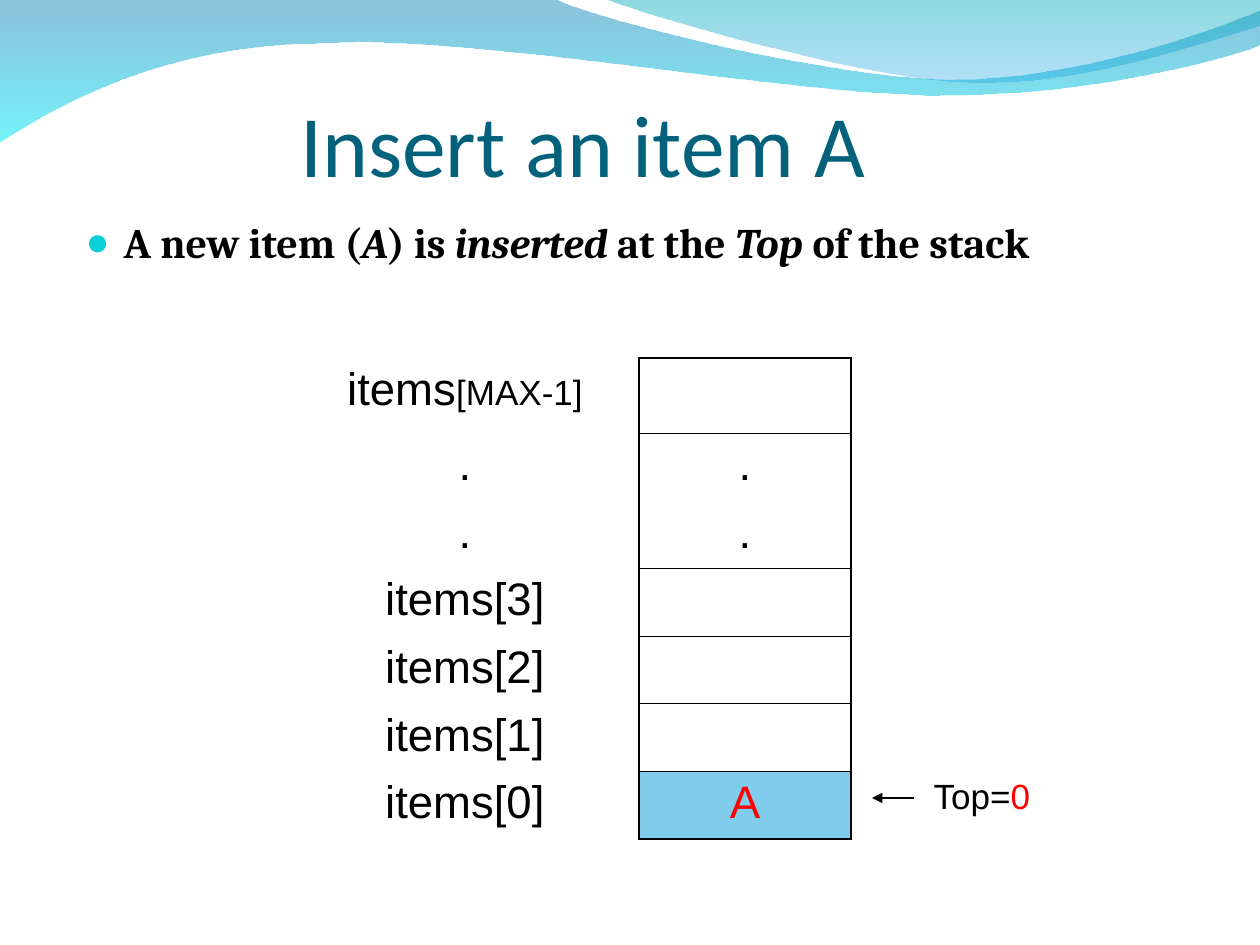
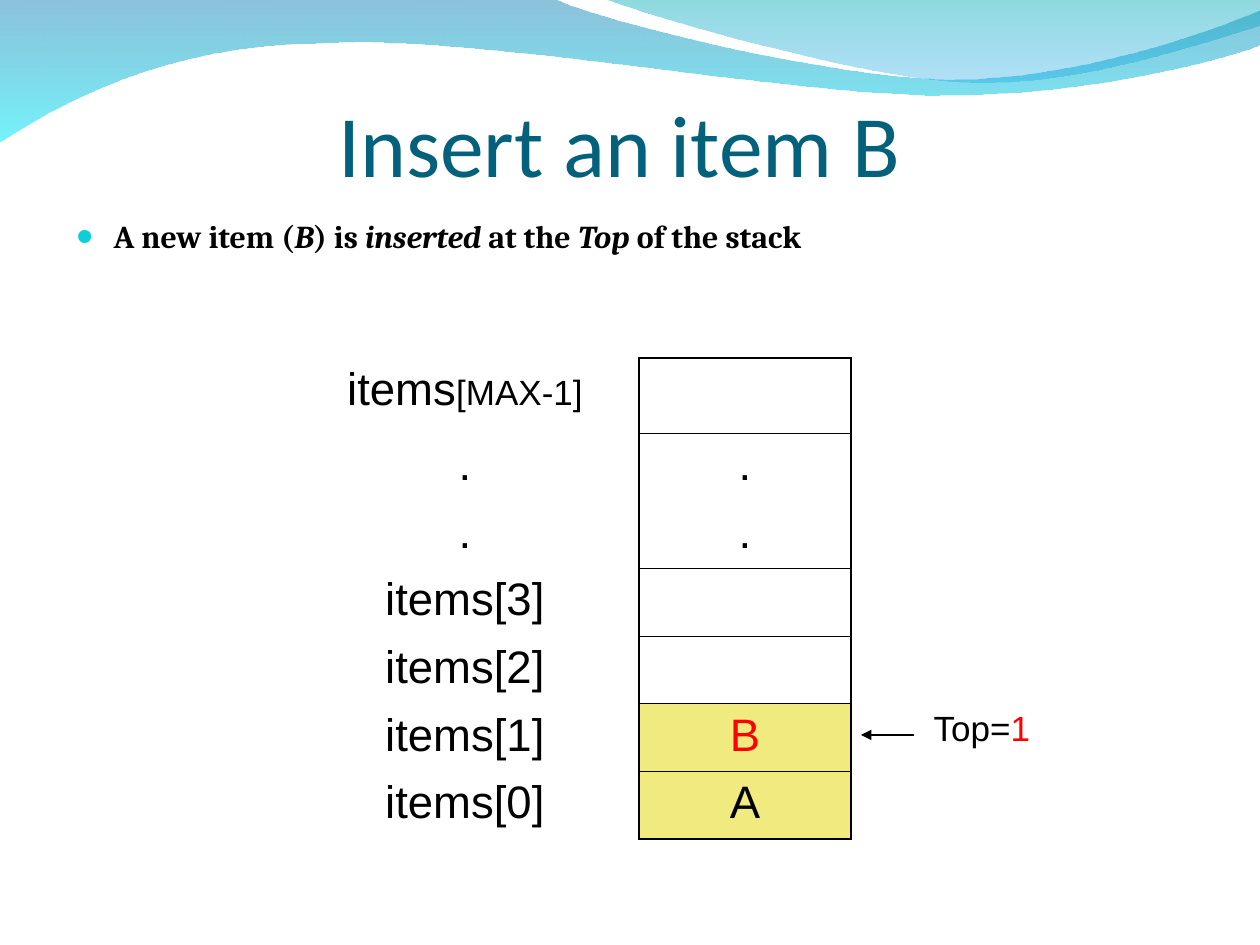
from dataclasses import dataclass

from lxml import etree
from pptx import Presentation
from pptx.dml.color import RGBColor
from pptx.enum.shapes import MSO_CONNECTOR
from pptx.enum.text import MSO_ANCHOR, MSO_AUTO_SIZE, PP_ALIGN
from pptx.oxml.ns import qn
from pptx.util import Pt

STRAIGHT = MSO_CONNECTOR.STRAIGHT
TOP, BOTTOM = MSO_ANCHOR.TOP, MSO_ANCHOR.BOTTOM
NO_AUTOFIT = MSO_AUTO_SIZE.NONE
CENTER = PP_ALIGN.CENTER
EMU_PER_PX = 914400 / 126
NO_GRID_STYLE = "{2D5ABB26-0587-4C30-8999-92F81FD0307C}"


@dataclass(frozen=True)
class Theme:
    title_color: str = "04617B"
    text_color: str = "000000"
    new_color: str = "FF0000"
    bullet_color: str = "0BD0D9"
    title_font: str = "Calibri"
    body_font: str = "Cambria"
    table_font: str = "Arial"
    title_size: float = 50
    item_size: float = 26
    small_size: float = 20
    frame_width: float = 1.08
    rule_width: float = 0.45
    arrow_width: float = 0.75


THEME = Theme()

BACK_WAVE = (
    [(0, -1)],
    [(554, -1)],
    [(600, 21), (837, 79), (955, 79)],
    [(1075, 79), (1207, 33), (1260, 11)],
    [(1261, 45)],
    [(1238, 55), (1096, 96), (940, 95)],
    [(784, 95), (481, 35), (324, 43)],
    [(163, 44), (58, 105), (-1, 142)],
)
FRONT_WAVE = (
    [(604, -1)],
    [(642, 14), (859, 78), (969, 82)],
    [(1079, 87), (1211, 40), (1260, 26)],
    [(1260, 0)],
)
ITEM_LABELS = ["items", ".", ".", "items[3]", "items[2]", "items[1]", "items[0]"]
DOT_ROWS = (1, 2)
COLUMN_WIDTHS = (348, 212, 262)
FIRST_ROW_HEIGHT = 75
OTHER_ROWS_HEIGHT = 406


def px(length):
    return round(length * EMU_PER_PX)


def add_xml(parent, tag, **attributes):
    return etree.SubElement(parent, qn(tag), attributes)


def add_color(parent, color, opacity=100):
    node = add_xml(parent, "a:srgbClr", val=color)
    if opacity < 100:
        add_xml(node, "a:alpha", val=str(opacity * 1000))


def place(shape, left, top, width, height):
    shape.left, shape.top = px(left), px(top)
    shape.width, shape.height = px(width), px(height)


def write_run(paragraph, text, font, size, color, bold=False, italic=False):
    run = paragraph.add_run()
    run.text = text
    run.font.name = font
    run.font.size = Pt(size)
    run.font.bold = bold
    run.font.italic = italic
    run.font.color.rgb = RGBColor.from_string(color)


def bend_sides(wave, segments):
    sides = list(wave.element.spPr.iter(qn("a:lnTo")))
    for side, segment in zip(sides, segments[1:]):
        if len(segment) == 3:
            curve = etree.Element(qn("a:cubicBezTo"))
            for x, y in segment:
                add_xml(curve, "a:pt", x=str(px(x) - wave.left), y=str(px(y) - wave.top))
            side.getparent().replace(side, curve)


def add_wave(slide, segments, stops):
    corners = [(px(x), px(y)) for x, y in (segment[-1] for segment in segments)]
    builder = slide.shapes.build_freeform(*corners[0])
    builder.add_line_segments(corners[1:])
    wave = builder.convert_to_shape()
    bend_sides(wave, segments)
    wave.shadow.inherit = False
    wave.line.fill.background()
    gradient = etree.Element(qn("a:gradFill"), rotWithShape="1")
    stop_list = add_xml(gradient, "a:gsLst")
    for position, color, opacity in stops:
        stop = add_xml(stop_list, "a:gs", pos=str(position * 1000))
        add_color(stop, color, opacity)
    add_xml(gradient, "a:lin", ang="5400000", scaled="0")
    wave.element.spPr.find(qn("a:custGeom")).addnext(gradient)
    return wave


def add_master_waves(presentation, slide):
    waves = (
        add_wave(slide, BACK_WAVE, ((0, "0079AF", 45), (100, "00EBF8", 55))),
        add_wave(slide, FRONT_WAVE, ((0, "00ADB6", 45), (100, "009BE5", 30))),
    )
    for index, wave in enumerate(waves):
        presentation.slide_master.shapes.element.insert(2 + index, wave.element)


def set_title(slide, text, box):
    title = slide.shapes.title
    place(title, *box)
    frame = title.text_frame
    frame.auto_size = NO_AUTOFIT
    frame.vertical_anchor = BOTTOM
    frame.margin_left = frame.margin_right = frame.margin_bottom = 0
    paragraph = frame.paragraphs[0]
    paragraph.alignment = CENTER
    write_run(paragraph, text, THEME.title_font, THEME.title_size, THEME.title_color)


def set_statement(slide, item, left, size):
    body = slide.placeholders[1]
    place(body, left, 210, 1155, 95)
    frame = body.text_frame
    frame.auto_size = NO_AUTOFIT
    frame.vertical_anchor = TOP
    paragraph = frame.paragraphs[0]
    paragraph.space_before = Pt(6.5)
    properties = paragraph._p.get_or_add_pPr()
    properties.set("marL", str(px(38)))
    properties.set("indent", str(-px(38)))
    add_color(add_xml(properties, "a:buClr"), THEME.bullet_color)
    add_xml(properties, "a:buSzPct", val="95000")
    add_xml(properties, "a:buChar", char="●")
    parts = ("A new item (", item, ") is ", "inserted ", "at the ", "Top ", "of the stack")
    for index, text in enumerate(parts):
        write_run(paragraph, text, THEME.body_font, size, THEME.text_color,
                  bold=True, italic=index % 2 == 1)


def fill_cell(cell, color, opacity):
    cell.fill.solid()
    cell.fill.fore_color.rgb = RGBColor.from_string(color)
    node = cell._tc.tcPr.find(qn("a:solidFill")).find(qn("a:srgbClr"))
    add_xml(node, "a:alpha", val=str(opacity * 1000))


def set_borders(cell, widths):
    properties = cell._tc.get_or_add_tcPr()
    for position, (side, width) in enumerate(widths.items()):
        line = etree.Element(qn(f"a:ln{side}"), w=str(Pt(width)))
        if width:
            add_color(add_xml(line, "a:solidFill"), THEME.text_color)
        else:
            add_xml(line, "a:noFill")
        properties.insert(position, line)


def write_cell(cell, *parts, space=6.5):
    paragraph = cell.text_frame.paragraphs[0]
    paragraph.alignment = CENTER
    paragraph.space_before = Pt(space)
    for text, size, color in parts:
        write_run(paragraph, text, THEME.table_font, size, color)


def slot_borders(row, last):
    frame, rule = THEME.frame_width, THEME.rule_width
    top = 0 if row == DOT_ROWS[1] else rule if row else frame
    bottom = 0 if row == DOT_ROWS[0] else rule if row < last else frame
    return {"L": frame, "R": frame, "T": top, "B": bottom}


def add_stack(slide, items, fill):
    last = len(ITEM_LABELS) - 1
    frame = slide.shapes.add_table(
        len(ITEM_LABELS), len(COLUMN_WIDTHS), px(291), px(358),
        px(sum(COLUMN_WIDTHS)), px(FIRST_ROW_HEIGHT + OTHER_ROWS_HEIGHT))
    table = frame.table
    table.first_row = table.horz_banding = False
    table._tbl.tblPr.find(qn("a:tableStyleId")).text = NO_GRID_STYLE
    for column, width in zip(table.columns, COLUMN_WIDTHS):
        column.width = px(width)
    for row, label in enumerate(ITEM_LABELS):
        table.rows[row].height = px(OTHER_ROWS_HEIGHT / last if row else FIRST_ROW_HEIGHT)
        name, slot, pointer = (table.cell(row, column) for column in range(3))
        for cell in (name, slot, pointer):
            cell.fill.background()
        parts = [(label, THEME.item_size, THEME.text_color)]
        if row == 0:
            parts.append(("[MAX-1]", THEME.small_size, THEME.text_color))
        write_cell(name, *parts, space=6.5 if row else 5)
        if row in DOT_ROWS:
            write_cell(slot, (".", THEME.item_size, THEME.text_color))
        level, top = last - row, len(items) - 1
        if level <= top:
            color = THEME.new_color if level == top else THEME.text_color
            write_cell(slot, (items[level], THEME.item_size, color))
            fill_cell(slot, fill, 50)
        if level == top:
            write_cell(pointer, ("Top=", THEME.small_size, THEME.text_color),
                       (str(top), THEME.small_size, THEME.new_color), space=5)
        set_borders(slot, slot_borders(row, last))
        set_borders(pointer, {"L": THEME.frame_width})


def add_top_arrow(slide, tip, y):
    arrow = slide.shapes.add_connector(STRAIGHT, px(914), px(y), px(tip), px(y))
    arrow.line.color.rgb = RGBColor.from_string(THEME.text_color)
    arrow.line.width = Pt(THEME.arrow_width)
    properties = arrow.element.spPr
    add_xml(properties.find(qn("a:ln")), "a:tailEnd", type="triangle")
    add_xml(properties, "a:effectLst")


def add_insert_slide(presentation, items, title_box, body_left, body_size, fill, arrow):
    slide = presentation.slides.add_slide(presentation.slide_layouts[1])
    set_title(slide, f"Insert an item {items[-1]}", title_box)
    set_statement(slide, items[-1], body_left, body_size)
    add_stack(slide, items, fill)
    add_top_arrow(slide, *arrow)
    return slide


def main():
    presentation = Presentation()
    presentation.slide_width, presentation.slide_height = px(1260), px(945)
    first_slide = add_insert_slide(
        presentation, "A", (63, 73, 1040, 122), 73, 24, "009DD9", (872, 798))
    add_insert_slide(
        presentation, "AB", (63, 53, 1113, 142), 63, 18.2, "E2D700", (861, 735))
    add_master_waves(presentation, first_slide)
    presentation.save("out.pptx")


if __name__ == "__main__":
    main()
